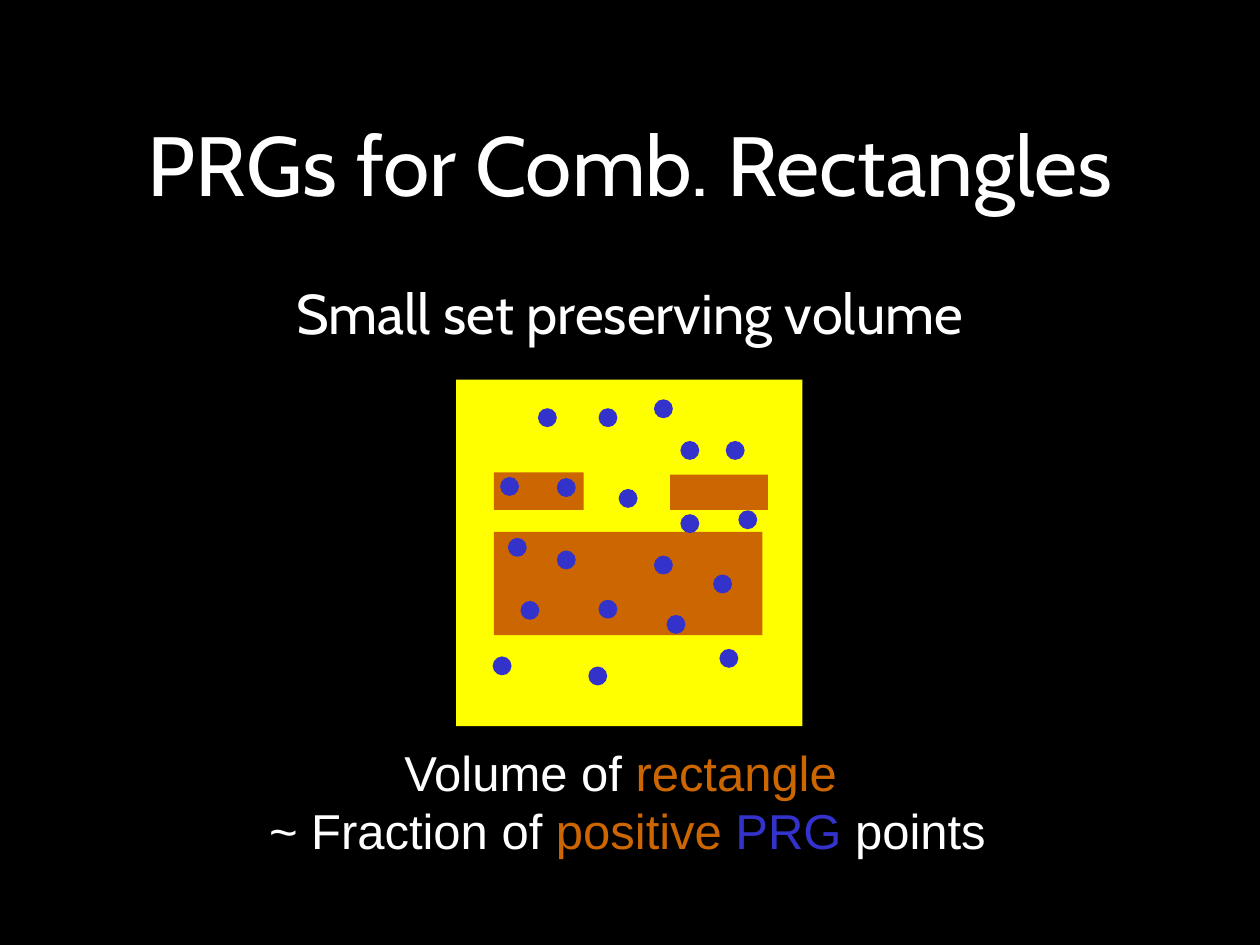
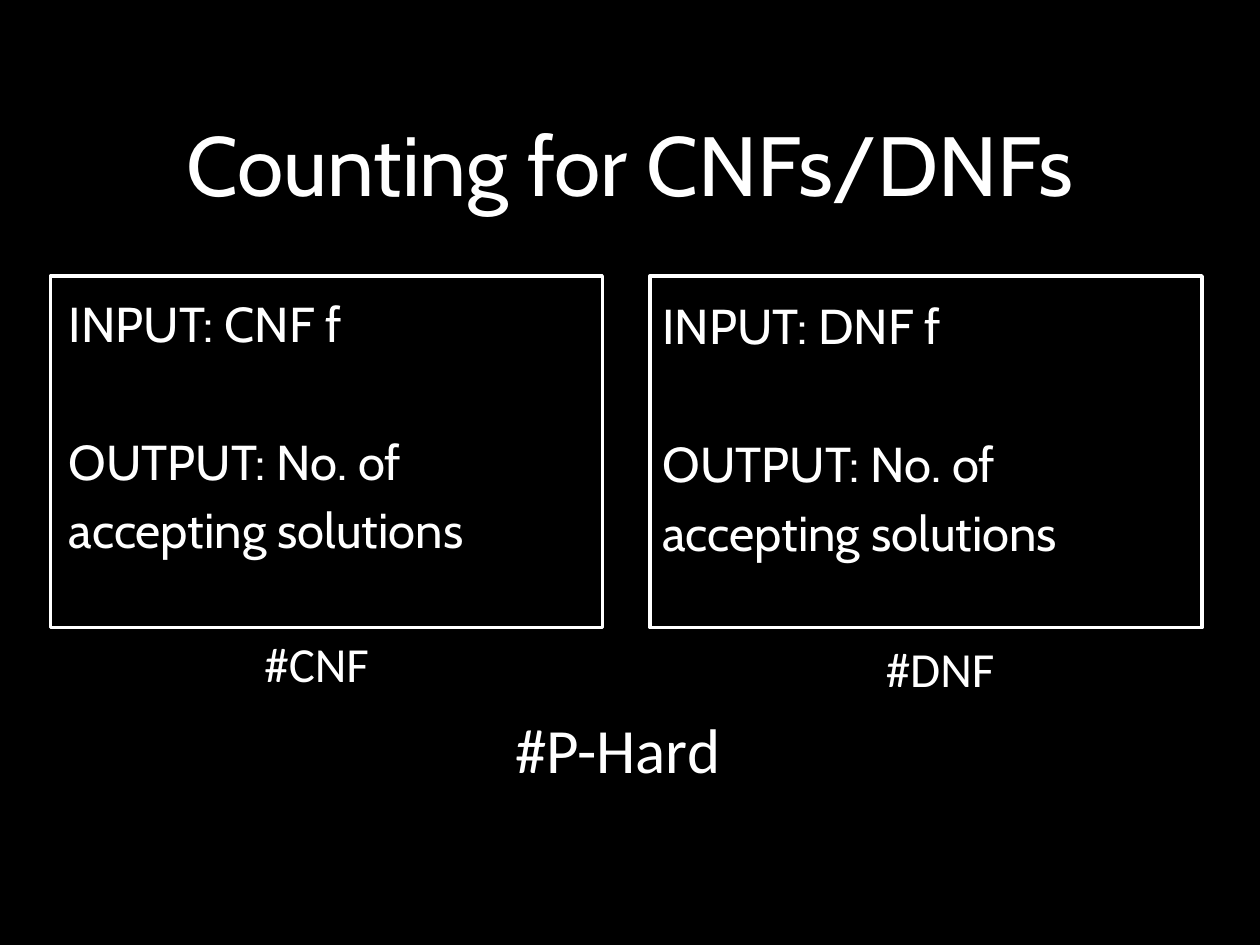
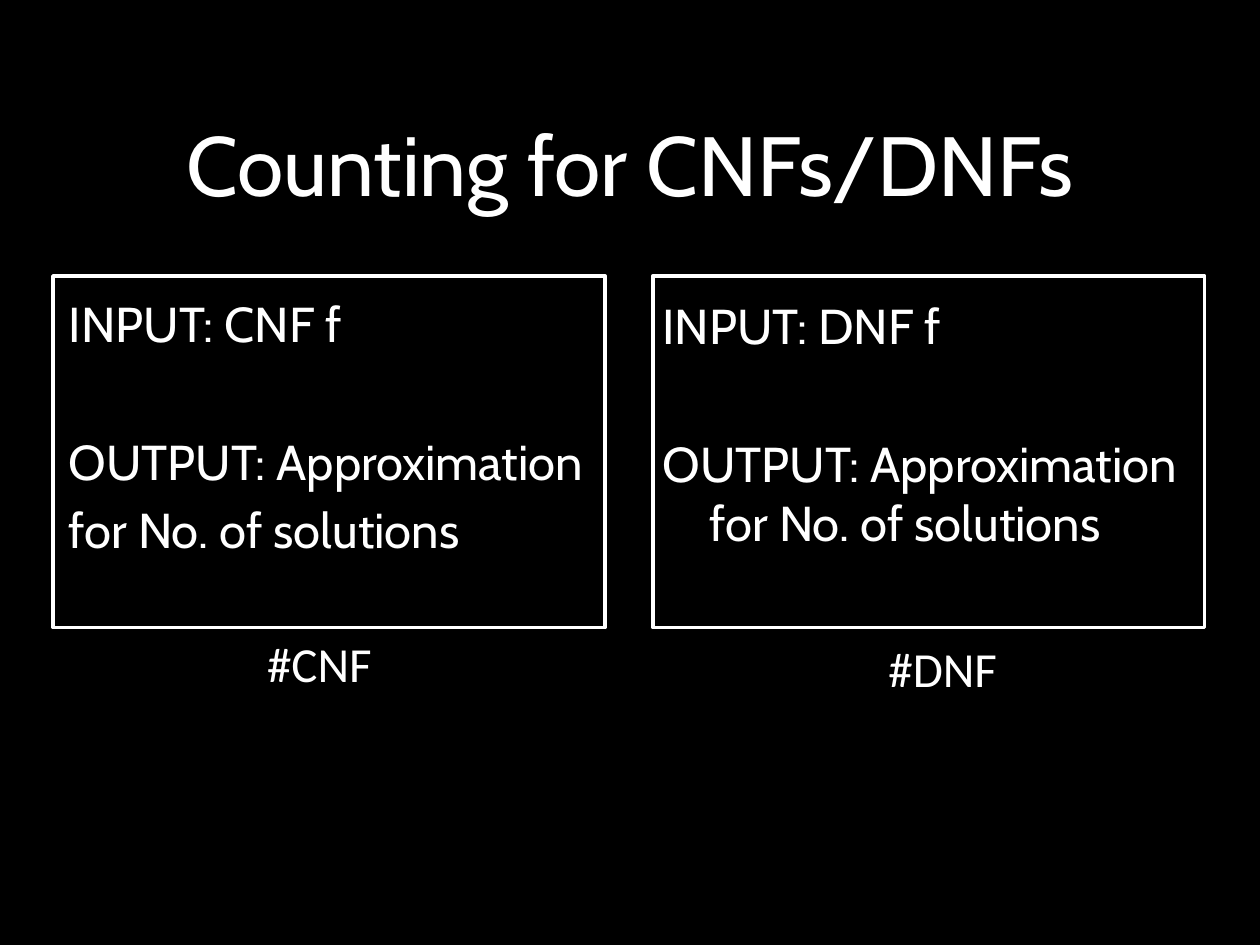
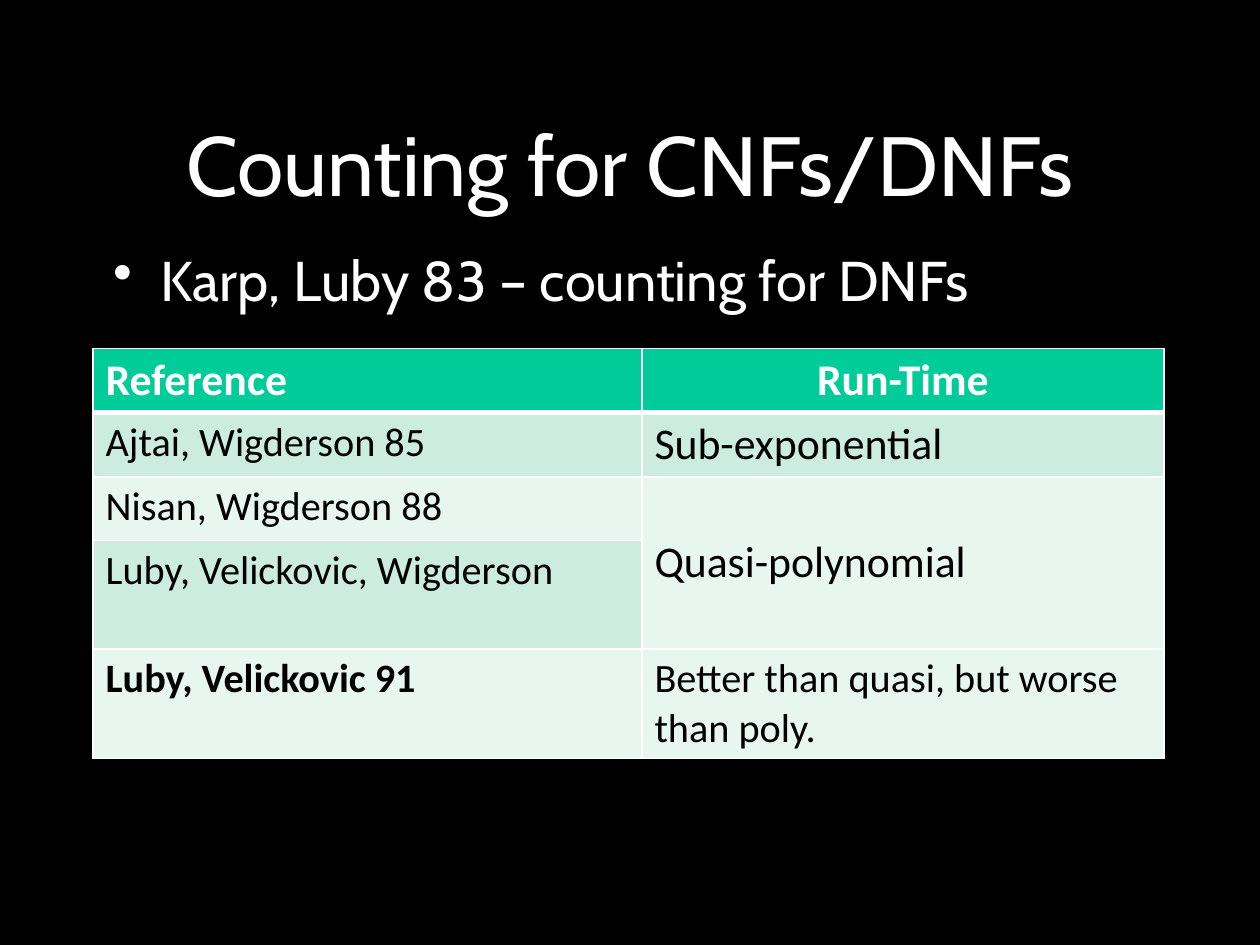
from lxml import etree
from pptx import Presentation
from pptx.dml.color import RGBColor
from pptx.enum.shapes import MSO_SHAPE
from pptx.enum.text import MSO_ANCHOR, PP_ALIGN
from pptx.oxml.ns import qn
from pptx.util import Pt

BLACK = RGBColor(0x00, 0x00, 0x00)
WHITE = RGBColor(0xFF, 0xFF, 0xFF)
YELLOW = RGBColor(0xFF, 0xFF, 0x00)
ORANGE = RGBColor(0xCC, 0x66, 0x00)
BLUE = RGBColor(0x33, 0x33, 0xCC)
GREEN = RGBColor(0x00, 0xCC, 0x99)
BANDS = (RGBColor(0xE7, 0xF6, 0xEF), RGBColor(0xCB, 0xEC, 0xDE))

RECTANGLE, OVAL = MSO_SHAPE.RECTANGLE, MSO_SHAPE.OVAL
LEFT, CENTER = PP_ALIGN.LEFT, PP_ALIGN.CENTER
MIDDLE = MSO_ANCHOR.MIDDLE

HEADING_FONT, LABEL_FONT, CAPTION_FONT = "Cabin", "Calibri", "Arial"
HANGING = Pt(27)
TITLE_ONLY = 5
DOT_SIZE = 10.8
COUNTING_TITLE = "Counting for CNFs/DNFs"


class Deck:
    """Hold the shared style and the current slide."""

    def __init__(self):
        self.prs = Presentation()
        self.prs.slide_width, self.prs.slide_height = Pt(720), Pt(540)
        background = self.prs.slide_master.background.fill
        background.solid()
        background.fore_color.rgb = BLACK
        self.slide = None

    def style(self, paragraph, size, font, color=WHITE, bold=None):
        """Set the font of a whole paragraph."""
        paragraph.font.size = Pt(size)
        paragraph.font.name = font
        paragraph.font.bold = bold
        if color is not None:
            paragraph.font.color.rgb = color

    def new_slide(self, heading):
        """Start a slide with the common title."""
        self.slide = self.prs.slides.add_slide(self.prs.slide_layouts[TITLE_ONLY])
        title = self.slide.shapes.title
        title.left, title.top, title.width, title.height = Pt(54), Pt(48), Pt(612), Pt(90)
        title.text_frame.text = heading
        title.text_frame.vertical_anchor = MIDDLE
        paragraph = title.text_frame.paragraphs[0]
        paragraph.alignment = CENTER
        self.style(paragraph, 48, HEADING_FONT)

    def shape(self, kind, left, top, width, height, fill=None, line=None):
        """Add a preset shape with an optional fill and outline."""
        shape = self.slide.shapes.add_shape(kind, Pt(left), Pt(top), Pt(width), Pt(height))
        shape.shadow.inherit = False
        if fill is None:
            shape.fill.background()
        else:
            shape.fill.solid()
            shape.fill.fore_color.rgb = fill
        if line is None:
            shape.line.fill.background()
        else:
            shape.line.color.rgb = line
            shape.line.width = Pt(2)

    def frame(self, left, top, width, height, wrap=True):
        """Add a text box and return its text frame."""
        box = self.slide.shapes.add_textbox(Pt(left), Pt(top), Pt(width), Pt(height))
        box.text_frame.word_wrap = wrap
        return box.text_frame

    def label(self, text, left, top, width, height, size, font=LABEL_FONT):
        """Add one centred line of text."""
        paragraph = self.frame(left, top, width, height, wrap=False).paragraphs[0]
        paragraph.text = text
        paragraph.alignment = CENTER
        self.style(paragraph, size, font)

    def caption(self, lines, left, top, width, height):
        """Add centred lines made of coloured runs."""
        frame = self.frame(left, top, width, height, wrap=False)
        for index, parts in enumerate(lines):
            paragraph = frame.add_paragraph() if index else frame.paragraphs[0]
            paragraph.alignment = CENTER
            self.style(paragraph, 28, CAPTION_FONT, color=None)
            for text, color in parts:
                run = paragraph.add_run()
                run.text = text
                run.font.color.rgb = color

    def body(self, lines, left, top, width, height, size, bullet=None):
        """Add hanging paragraphs, each given as text and space before."""
        frame = self.frame(left, top, width, height)
        for index, (text, space) in enumerate(lines):
            paragraph = frame.add_paragraph() if index else frame.paragraphs[0]
            paragraph.text = text
            paragraph.space_before = Pt(space)
            properties = paragraph._p.get_or_add_pPr()
            properties.set("marL", str(HANGING))
            properties.set("indent", str(-HANGING))
            if bullet:
                etree.SubElement(properties, qn("a:buChar")).set("char", bullet)
            self.style(paragraph, size, HEADING_FONT)

    def problem(self, name, output, left, text_left, text_top, label_left, label_top):
        """Add a framed counting problem with its label below."""
        lines = [(f"INPUT: {name} f", 5.6), (output[0], 45)]
        lines += [(text, 5.6) for text in output[1:]]
        self.body(lines, text_left, text_top, 333, 324, 28)
        self.shape(RECTANGLE, left, 157.7, 315.4, 200.9, line=WHITE)
        self.label(f"#{name}", label_left, label_top, 88, 41, 28)

    def border(self, cell, side, width):
        """Draw one white cell border."""
        line = etree.SubElement(cell._tc.get_or_add_tcPr(), qn(f"a:ln{side}"))
        line.set("w", str(Pt(width)))
        fill = etree.SubElement(line, qn("a:solidFill"))
        etree.SubElement(fill, qn("a:srgbClr")).set("val", str(WHITE))

    def cell(self, cell, row, text, size, bold, align):
        """Fill and format one table cell."""
        widths = {"L": 1, "R": 1, "T": 3 if row == 1 else 1, "B": 1 if row else 3}
        for side, width in widths.items():
            self.border(cell, side, width)
        cell.fill.solid()
        cell.fill.fore_color.rgb = BANDS[row % 2] if row else GREEN
        cell.margin_top = cell.margin_bottom = Pt(3)
        paragraph = cell.text_frame.paragraphs[0]
        paragraph.text = text
        paragraph.alignment = align
        self.style(paragraph, size, LABEL_FONT, BLACK if row else WHITE, bold)

    def table(self, rows, left, top, column_widths, row_heights):
        """Add a banded table and return it."""
        table = self.slide.shapes.add_table(
            len(rows), len(column_widths), Pt(left), Pt(top),
            Pt(sum(column_widths)), Pt(sum(row_heights))).table
        for column, width in zip(table.columns, column_widths):
            column.width = Pt(width)
        for row, height in zip(table.rows, row_heights):
            row.height = Pt(height)
        for row, contents in enumerate(rows):
            for column, content in enumerate(contents):
                self.cell(table.cell(row, column), row, *content)
        return table


def rectangles_slide(deck):
    """Build the slide on combinatorial rectangles."""
    deck.new_slide("PRGs for Comb. Rectangles")
    deck.shape(RECTANGLE, 260.6, 216.9, 198, 198, YELLOW)
    for area in ((282.2, 269.9, 51.3, 21.5), (383, 271.2, 55.8, 20.2),
                 (282.2, 303.9, 153.5, 59)):
        deck.shape(RECTANGLE, *area, fill=ORANGE)
    deck.label("Small set preserving volume", 54, 155.4, 612, 65, 32, HEADING_FONT)
    prg_points = (
        (336.2, 380.9), (285.8, 272.6), (307.4, 233.3), (342, 233.3), (318.2, 273.2),
        (290.2, 307.4), (318.2, 314.6), (297.4, 343.4), (342, 342.7), (353.5, 279.4),
        (388.8, 252), (414.7, 252), (373.7, 228.2), (388.8, 293.8), (373.7, 317.5),
        (421.9, 291.6), (407.5, 328.3), (380.9, 351.4), (281.5, 375.1), (411.1, 370.8))
    for left, top in prg_points:
        deck.shape(OVAL, left, top, DOT_SIZE, DOT_SIZE, BLUE)
    deck.caption(
        [[("Volume of ", WHITE), ("rectangle ", ORANGE)],
         [("~ Fraction of ", WHITE), ("positive ", ORANGE), ("PRG ", BLUE),
          ("points", WHITE)]],
        144, 420.5, 429, 75)


def counting_slide(deck, cnf_output, dnf_output, shift=0):
    """Build a slide with the two counting problems side by side."""
    deck.new_slide(COUNTING_TITLE)
    deck.problem("CNF", cnf_output, 28.8 + shift, 32.2, 164.2, 137 + shift, 358.6)
    deck.problem("DNF", dnf_output, 371.5 + shift, 371.5, 165.6, 493.2 + shift, 361.5)


def results_slide(deck):
    """Build the slide listing known run-times."""
    deck.new_slide(COUNTING_TITLE)
    rows = [
        [("Reference", 25, True, LEFT), ("Run-Time", 25, True, CENTER)],
        [("Ajtai, Wigderson 85", 23, False, LEFT), ("Sub-exponential", 25, False, LEFT)],
        [("Nisan, Wigderson 88", 23, False, LEFT), ("Quasi-polynomial", 25, False, LEFT)],
        [("Luby, Velickovic, Wigderson", 23, False, LEFT), ("", 25, False, LEFT)],
        [("Luby, Velickovic 91", 23, True, LEFT),
         ("Better than quasi, but worse than poly.", 23, False, LEFT)],
    ]
    table = deck.table(rows, 53.2, 199.2, (313.6, 298.4), (36.7, 36.7, 36.4, 62, 62))
    quasi_polynomial = table.cell(2, 1)
    quasi_polynomial.merge(table.cell(3, 1))
    quasi_polynomial.vertical_anchor = MIDDLE
    deck.body([("Karp, Luby 83 – counting for DNFs", 6.4)], 57.6, 136.8, 612, 62.6, 32, "•")


def main():
    """Build and save the deck."""
    deck = Deck()
    rectangles_slide(deck)
    exact = ("OUTPUT: No. of", "accepting solutions")
    counting_slide(deck, exact, exact)
    deck.label("#P-Hard", 278, 402.5, 150, 51, 36)
    counting_slide(deck, ("OUTPUT: Approximation", "for No. of solutions"),
                   ("OUTPUT: Approximation for No. of solutions",), shift=1.5)
    results_slide(deck)
    deck.prs.save("out.pptx")


if __name__ == "__main__":
    main()
